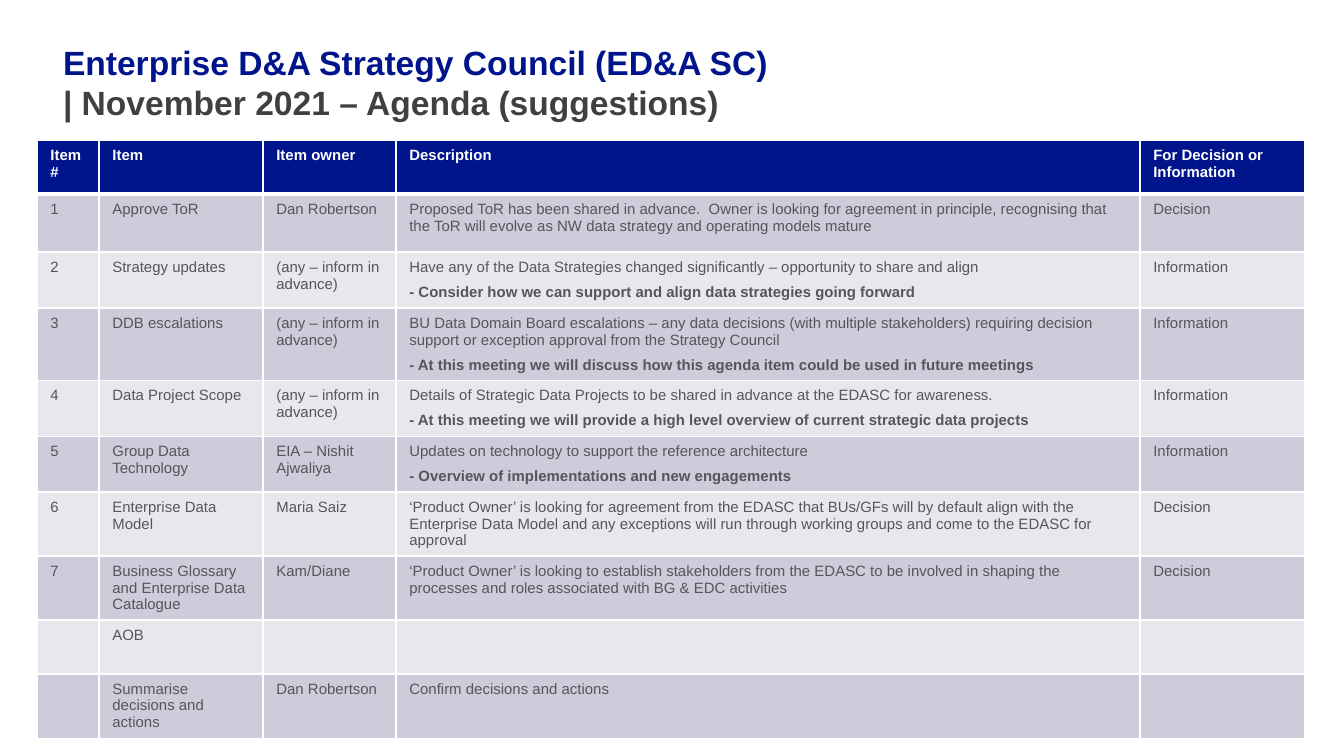
from lxml import etree
from pptx import Presentation
from pptx.dml.color import RGBColor
from pptx.enum.text import MSO_ANCHOR, PP_ALIGN
from pptx.oxml.ns import qn
from pptx.util import Emu, Pt

PIXEL = 914400 / 134.4
TOP = MSO_ANCHOR.TOP
LEFT = PP_ALIGN.LEFT
FONT = "Arial"
NAVY = RGBColor(0x00, 0x14, 0x8C)
CHARCOAL = RGBColor(0x40, 0x40, 0x42)
GREY = RGBColor(0x55, 0x55, 0x5A)
WHITE = RGBColor(0xFF, 0xFF, 0xFF)
BANDS = (RGBColor(0xCC, 0xCC, 0xDA), RGBColor(0xE7, 0xE7, 0xEE))

TITLE_BOX = (63, 40, 1218, 121)
TITLE_LINES = (
    ("Enterprise D&A Strategy Council (ED&A SC)", NAVY),
    ("| November 2021 – Agenda (suggestions)", CHARCOAL),
)
AGENDA_BOX = (37, 140, 1268, 598)
COLUMN_WIDTHS = (62, 164, 133, 744, 165)
ROW_HEIGHTS = (54, 58, 56, 72, 56, 55, 64, 64, 54, 65)
ANY_OWNER = "(any – inform in advance)"
HEADER = ("Item #", "Item", "Item owner", "Description", "For Decision or Information")
AGENDA = (
    ("1", "Approve ToR", "Dan Robertson",
     "Proposed ToR has been shared in advance.  Owner is looking for agreement in principle, "
     "recognising that the ToR will evolve as NW data strategy and operating models mature",
     "Decision"),
    ("2", "Strategy updates", ANY_OWNER,
     "Have any of the Data Strategies changed significantly – opportunity to share and align\n"
     "- Consider how we can support and align data strategies going forward",
     "Information"),
    ("3", "DDB escalations", ANY_OWNER,
     "BU Data Domain Board escalations – any data decisions (with multiple stakeholders) "
     "requiring decision support or exception approval from the Strategy Council\n"
     "- At this meeting we will discuss how this agenda item could be used in future meetings",
     "Information"),
    ("4", "Data Project Scope", ANY_OWNER,
     "Details of Strategic Data Projects to be shared in advance at the EDASC for awareness.\n"
     "- At this meeting we will provide a high level overview of current strategic data projects",
     "Information"),
    ("5", "Group Data Technology", "EIA – Nishit Ajwaliya",
     "Updates on technology to support the reference architecture\n"
     "- Overview of implementations and new engagements",
     "Information"),
    ("6", "Enterprise Data Model", "Maria Saiz",
     "‘Product Owner’ is looking for agreement from the EDASC that BUs/GFs will by default "
     "align with the Enterprise Data Model and any exceptions will run through working groups "
     "and come to the EDASC for approval",
     "Decision"),
    ("7", "Business Glossary and Enterprise Data Catalogue", "Kam/Diane",
     "‘Product Owner’ is looking to establish stakeholders from the EDASC to be involved in "
     "shaping the processes and roles associated with BG & EDC activities",
     "Decision"),
    ("", "AOB", "", "", ""),
    ("", "Summarise decisions and actions", "Dan Robertson", "Confirm decisions and actions", ""),
)


def px(length):
    """Turn picture pixels into EMU."""
    return Emu(round(length * PIXEL))


def format_font(font, size, color, bold):
    """Set the face, size, colour and weight of a font."""
    font.name = FONT
    font.size = Pt(size)
    font.color.rgb = color
    font.bold = bold


def set_borders(cell, widths):
    """Draw white cell borders with the given widths in points by side."""
    properties = cell._tc.get_or_add_tcPr()
    for side, width in widths.items():
        line = etree.SubElement(properties, qn(f"a:ln{side}"), w=str(Pt(width)))
        fill = etree.SubElement(line, qn("a:solidFill"))
        etree.SubElement(fill, qn("a:srgbClr"), val=str(WHITE))


def fill_cell(cell, text, row_index):
    """Write and format one agenda cell."""
    is_header = row_index == 0
    set_borders(cell, {"L": 1, "R": 1, "T": 3 if row_index == 1 else 1, "B": 3 if is_header else 1})
    cell.fill.solid()
    cell.fill.fore_color.rgb = NAVY if is_header else BANDS[(row_index - 1) % 2]
    cell.vertical_anchor = TOP
    cell.text = text
    for paragraph in cell.text_frame.paragraphs:
        bold = is_header or paragraph.text.startswith("- ")
        format_font(paragraph.font, 8, WHITE if is_header else GREY, bold)
        paragraph.space_after = Pt(4.5)


def add_title(slide, box):
    """Place the two-line title in its box."""
    title = slide.shapes.title
    title.left, title.top, title.width, title.height = map(px, box)
    frame = title.text_frame
    frame.margin_left = frame.margin_right = frame.margin_bottom = 0
    frame.margin_top = px(2)
    frame.vertical_anchor = TOP
    frame.word_wrap = True
    paragraph = frame.paragraphs[0]
    paragraph.alignment = LEFT
    paragraph.line_spacing = Pt(21.5)
    paragraph.space_before = Pt(0)
    for index, (text, color) in enumerate(TITLE_LINES):
        if index:
            paragraph.add_line_break()
        run = paragraph.add_run()
        run.text = text
        format_font(run.font, 18, color, True)


def add_agenda(slide, box):
    """Build the agenda table in its box."""
    rows = (HEADER, *AGENDA)
    table = slide.shapes.add_table(len(rows), len(HEADER), *map(px, box)).table
    for column, width in zip(table.columns, COLUMN_WIDTHS):
        column.width = px(width)
    for row_index, (row, height, texts) in enumerate(zip(table.rows, ROW_HEIGHTS, rows)):
        row.height = px(height)
        for cell, text in zip(row.cells, texts):
            fill_cell(cell, text, row_index)


def main():
    """Build and save the agenda slide."""
    presentation = Presentation()
    presentation.slide_width = px(1344)
    presentation.slide_height = px(756)
    slide = presentation.slides.add_slide(presentation.slide_layouts[5])
    add_title(slide, TITLE_BOX)
    add_agenda(slide, AGENDA_BOX)
    presentation.save("out.pptx")


main()
